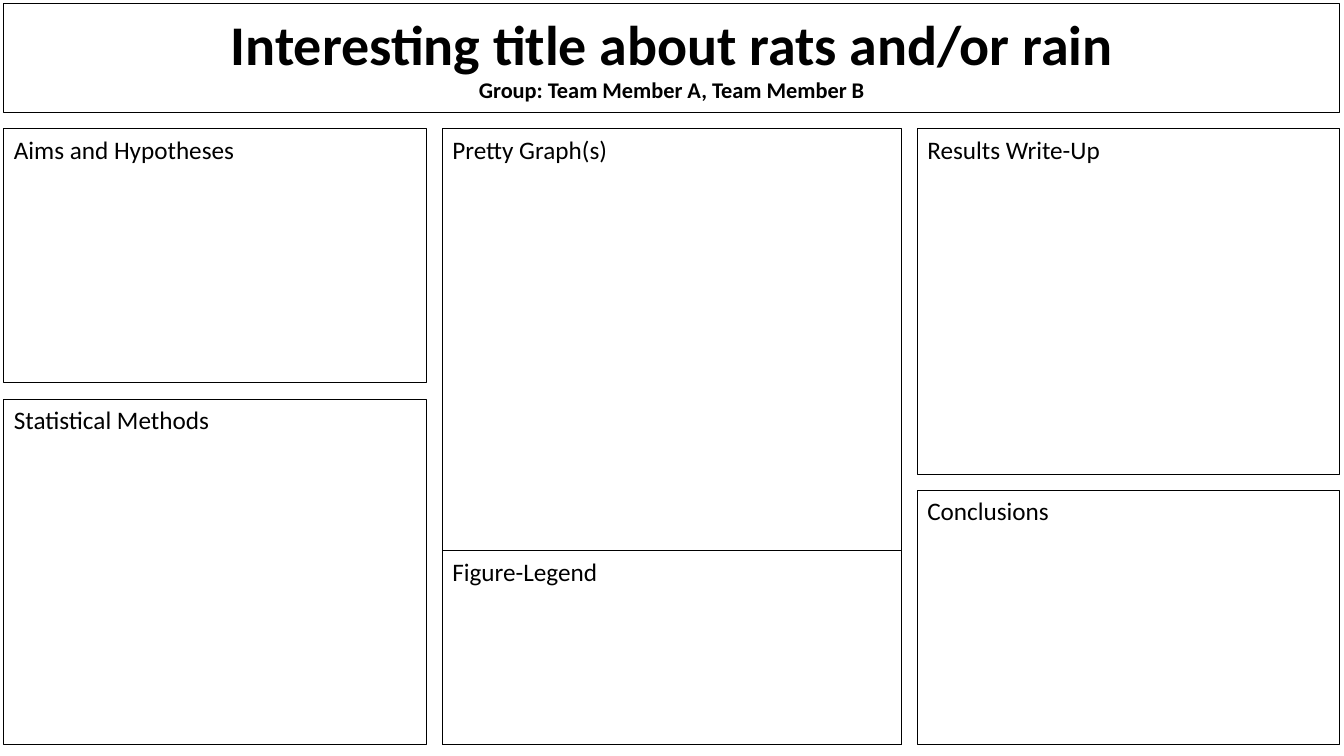
import pptx
import pptx.util
import pptx.dml.color
import pptx.enum.text
from dataclasses import dataclass

Cm, Pt = pptx.util.Cm, pptx.util.Pt
MSO_ANCHOR = pptx.enum.text.MSO_ANCHOR
MSO_AUTO_SIZE = pptx.enum.text.MSO_AUTO_SIZE
PP_ALIGN = pptx.enum.text.PP_ALIGN


@dataclass(frozen=True)
class Theme:
    font: str = "Calibri"
    ink: pptx.dml.color.RGBColor = pptx.dml.color.RGBColor(0, 0, 0)
    border: float = 0.75
    title_size: int = 40
    group_size: int = 16
    heading_size: int = 18


@dataclass(frozen=True)
class Box:
    """Lengths in centimetres."""
    left: float
    top: float
    width: float
    height: float


THEME = Theme()
FRAME_FORMAT = {
    "word_wrap": True,
    "auto_size": MSO_AUTO_SIZE.NONE,
    "vertical_anchor": MSO_ANCHOR.TOP,
    "margin_left": Cm(0.25), "margin_right": Cm(0.25),
    "margin_top": Cm(0.13), "margin_bottom": Cm(0.13),
}


def apply_format(target, values):
    for attribute, value in values.items():
        setattr(target, attribute, value)


def fill_region(region, box, lines, align, bold):
    """Place and outline a region, then write its (text, size) lines."""
    apply_format(region, {side: Cm(getattr(box, side))
                          for side in ("left", "top", "width", "height")})
    region.line.color.rgb = THEME.ink
    region.line.width = Pt(THEME.border)
    frame = region.text_frame
    apply_format(frame, FRAME_FORMAT)
    for number, (text, size) in enumerate(lines):
        paragraph = frame.add_paragraph() if number else frame.paragraphs[0]
        paragraph.alignment = align
        words = paragraph.add_run()
        words.text = text
        apply_format(words.font, {"name": THEME.font, "size": Pt(size), "bold": bold})
        words.font.color.rgb = THEME.ink


def add_header(slide, box, title, group):
    lines = [(title, THEME.title_size), (group, THEME.group_size)]
    fill_region(slide.shapes.title, box, lines, PP_ALIGN.CENTER, True)


def add_panel(slide, box, heading):
    panel = slide.shapes.add_textbox(0, 0, 0, 0)
    fill_region(panel, box, [(heading, THEME.heading_size)], PP_ALIGN.LEFT, False)


def add_stack(slide, box, upper, lower, upper_height, gap):
    """Two panels, one above the other, filling the box."""
    add_panel(slide, Box(box.left, box.top, box.width, upper_height), upper)
    offset = upper_height + gap
    add_panel(slide, Box(box.left, box.top + offset, box.width, box.height - offset), lower)


def add_figure(slide, box, graphs, legend, legend_height):
    """A full-height graph panel with the legend along its foot."""
    add_panel(slide, box, graphs)
    legend_top = box.top + box.height - legend_height
    add_panel(slide, Box(box.left, legend_top, box.width, legend_height), legend)


def build_poster(slide, page):
    gap, header_height, side_width = 0.41, 2.74, 10.64
    short_panel, tall_panel = 6.4, 8.7
    header = Box(page.left, page.top, page.width, header_height)
    top = page.top + header_height + gap
    height = short_panel + gap + tall_panel
    middle_left = page.left + side_width + gap
    middle_width = page.width - 2 * (side_width + gap)
    right_left = middle_left + middle_width + gap

    # Header
    add_header(slide, header, "Interesting title about rats and/or rain",
               "Group: Team Member A, Team Member B")
    # Left column
    add_stack(slide, Box(page.left, top, side_width, height),
              "Aims and Hypotheses", "Statistical Methods", short_panel, gap)
    # Middle column
    add_figure(slide, Box(middle_left, top, middle_width, height),
               "Pretty Graph(s)", "Figure-Legend", 4.88)
    # Right column
    add_stack(slide, Box(right_left, top, side_width, height),
              "Results Write-Up", "Conclusions", tall_panel, gap)


poster = pptx.Presentation()
poster.slide_width, poster.slide_height = Cm(33.87), Cm(19.05)
title_only = poster.slide_layouts[5]
build_poster(poster.slides.add_slide(title_only), Box(0.1, 0.1, 33.66, 18.66))
poster.save("out.pptx")
